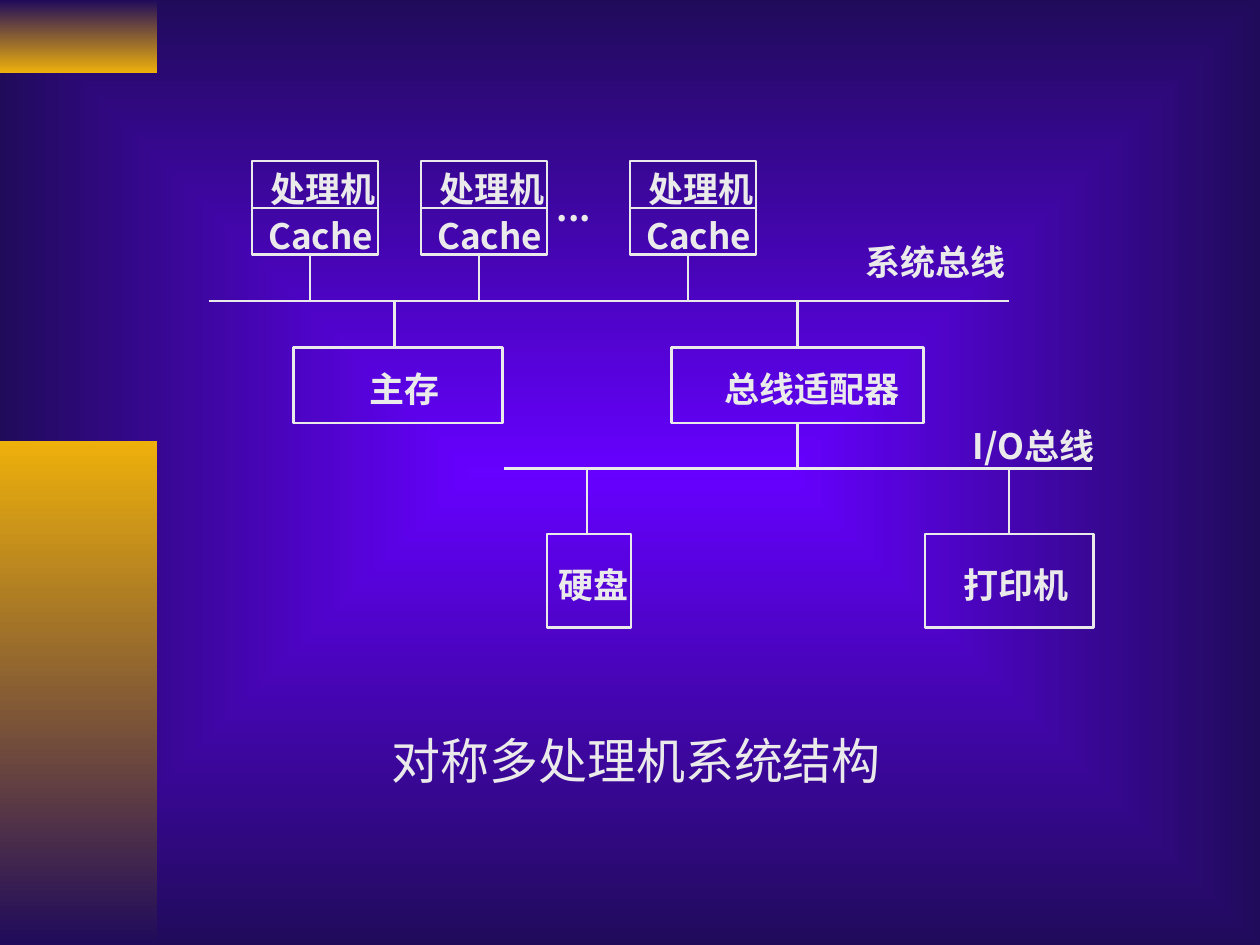
from lxml.etree import SubElement
from pptx import Presentation
from pptx.dml.color import RGBColor
from pptx.enum.shapes import MSO_CONNECTOR, MSO_SHAPE
from pptx.enum.text import MSO_AUTO_SIZE
from pptx.oxml.ns import qn
from pptx.util import Inches, Pt

INK, GOLD, NAVY, VIOLET = "EAEAEA", "EEB00B", "200B5B", "6600FF"
SANS, SERIF = "Noto Sans CJK SC", "Times New Roman"


def color(code):
    return RGBColor.from_string(code)


def blend(fill, first, last):
    fill.gradient()
    for stop, code in zip(fill.gradient_stops, (first, last)):
        stop.color.rgb = color(code)


def backdrop(slide):
    """Fill the background with a gradient that spreads from the centre."""
    blend(slide.background.fill, VIOLET, NAVY)
    grad = slide.element.find(".//" + qn("a:gradFill"))
    grad.remove(grad.find(qn("a:lin")))
    shade = SubElement(grad, qn("a:path"), {"path": "rect"})
    sides = {side: "50000" for side in "ltrb"}
    SubElement(shade, qn("a:fillToRect"), sides)


def rect(slide, x, y, w, h):
    shape = slide.shapes.add_shape(
        MSO_SHAPE.RECTANGLE, Inches(x), Inches(y), Inches(w), Inches(h))
    shape.shadow.inherit = False
    return shape


def band(slide, y, h, first, last):
    shape = rect(slide, 0, y, 1.25, h)
    blend(shape.fill, first, last)
    shape.fill.gradient_angle = 270
    shape.line.fill.background()


def pen(line):
    line.color.rgb = color(INK)
    line.width = Pt(1.39)


def wire(slide, x1, y1, x2, y2):
    link = slide.shapes.add_connector(
        MSO_CONNECTOR.STRAIGHT, Inches(x1), Inches(y1), Inches(x2), Inches(y2))
    pen(link.line)
    SubElement(link.element.spPr, qn("a:effectLst"))


def write(slide, text, x, y, w, h=0.33, size=20, face=SANS, bold=True,
          inset=(0, 0)):
    box = slide.shapes.add_textbox(Inches(x), Inches(y), Inches(w), Inches(h))
    frame = box.text_frame
    frame.word_wrap = False
    frame.auto_size = MSO_AUTO_SIZE.SHAPE_TO_FIT_TEXT
    frame.margin_left = frame.margin_right = Inches(inset[0])
    frame.margin_top = frame.margin_bottom = Inches(inset[1])
    run = frame.paragraphs[0].add_run()
    run.text = text
    font = run.font
    font.name, font.size, font.bold = face, Pt(size), bold
    font.color.rgb = color(INK)
    SubElement(run._r.get_or_add_rPr(), qn("a:ea"), {"typeface": SANS})


def block(slide, text, x, y, w, h, dx, dy, wide):
    """Draw an outlined box with its label shifted by dx, dy from its corner."""
    shape = rect(slide, x, y, w, h)
    shape.fill.background()
    pen(shape.line)
    write(slide, text, x + dx, y + dy, wide)


def main():
    deck = Presentation()
    deck.slide_width, deck.slide_height = Inches(10), Inches(7.5)
    slide = deck.slides.add_slide(deck.slide_layouts[6])
    backdrop(slide)
    band(slide, 0, 0.58, NAVY, GOLD)
    band(slide, 3.5, 4, GOLD, NAVY)

    # Processors above the system bus
    top, high, main_bus, io_bus = 1.28, 0.37, 2.39, 3.72
    for x in (2, 3.34, 5):
        block(slide, "处理机", x, top, 1, high, 0.15, 0.05, 0.86)
        block(slide, "Cache", x, top + high, 1, high, 0.13, 0.05, 0.86)
        wire(slide, x + 0.46, top + 2 * high, x + 0.46, main_bus)
    write(slide, "...", 4.42, 1.48, 0.5)

    wire(slide, 1.66, main_bus, 8.01, main_bus)
    write(slide, "系统总线", 6.87, 1.91, 1.16)
    wire(slide, 4, io_bus, 8.67, io_bus)
    write(slide, "I/O总线", 7.72, 3.37, 1.06)

    # Units between the two buses
    for text, x, w, dx, wide, stem in (
            ("主存", 2.33, 1.66, 0.6, 0.58, 3.13),
            ("总线适配器", 5.33, 2, 0.42, 1.45, 6.33)):
        block(slide, text, x, 2.76, w, 0.6, dx, 0.16, wide)
        wire(slide, stem, main_bus, stem, 2.76)
    wire(slide, 6.33, 3.36, 6.33, io_bus)

    # Devices below the I/O bus
    for text, x, w, dx, wide, stem in (
            ("硬盘", 4.34, 0.67, 0.09, 0.58, 4.66),
            ("打印机", 7.34, 1.34, 0.31, 0.86, 8.01)):
        block(slide, text, x, 4.24, w, 0.74, dx, 0.23, wide)
        wire(slide, stem, io_bus, stem, 4.24)

    write(slide, "对称多处理机系统结构", 3.01, 5.75, 4.16, 0.57, size=28,
          face=SERIF, bold=False, inset=(0.1, 0.05))
    deck.save("out.pptx")


if __name__ == "__main__":
    main()
